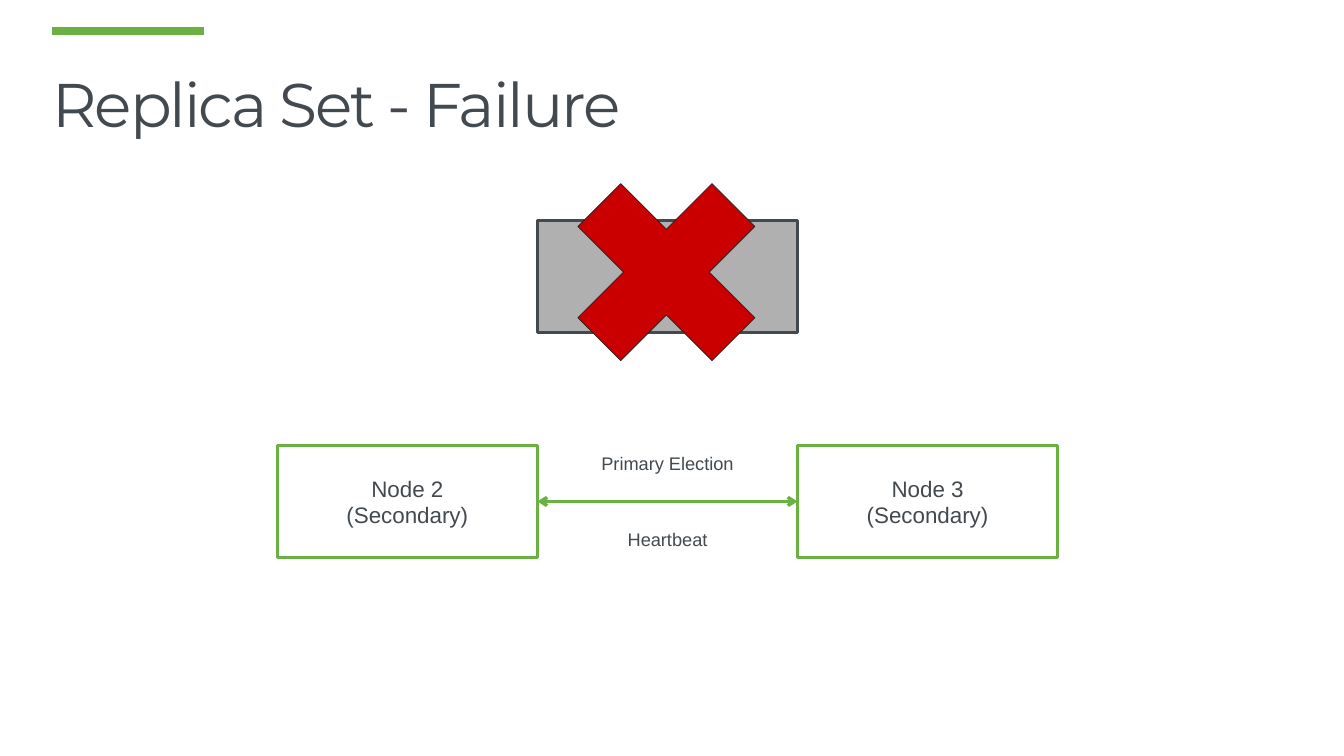
from lxml import etree
from pptx import Presentation
from pptx.dml.color import RGBColor
from pptx.enum.shapes import MSO_CONNECTOR, MSO_SHAPE
from pptx.enum.text import MSO_ANCHOR, MSO_AUTO_SIZE, PP_ALIGN
from pptx.oxml.ns import qn
from pptx.util import Inches, Pt

RECT, CROSS = MSO_SHAPE.RECTANGLE, MSO_SHAPE.MATH_MULTIPLY
STRAIGHT = MSO_CONNECTOR.STRAIGHT
LEFT, CENTER = PP_ALIGN.LEFT, PP_ALIGN.CENTER
MIDDLE, BOTTOM = MSO_ANCHOR.MIDDLE, MSO_ANCHOR.BOTTOM
FIT = MSO_AUTO_SIZE.SHAPE_TO_FIT_TEXT

# Content
TITLE = "Replica Set - Failure"
NODES = [["Node 2", "(Secondary)"], ["Node 3", "(Secondary)"]]
LABELS = [("Heartbeat", 5.17, 1.09), ("Primary Election", 4.42, 1.63)]

GREEN, DARK, WHITE = "69B241", "42494F", "FFFFFF"
GRAY, RED, BLACK = "B0B0B0", "CA0000", "212121"

# Layout: three columns of equal width, nodes in the outer two
BOX_W, BOX_H = 2.58, 1.11
COLS = [2.75 + i * BOX_W for i in range(3)]
TOP_Y, NODE_Y = 2.19, 4.42
MID_X, MID_Y = COLS[1] + BOX_W / 2, NODE_Y + BOX_H / 2
CROSS_W = 2.56


def color(code):
    return RGBColor.from_string(code)


def write(shape, lines, size=16, font="Arial", align=CENTER, anchor=MIDDLE,
          pad=(0.13, 0.13), wrap=True):
    frame = shape.text_frame
    frame.text = "\n".join(lines)
    frame.word_wrap = wrap
    frame.vertical_anchor = anchor
    frame.margin_left = frame.margin_right = Inches(pad[0])
    frame.margin_top = frame.margin_bottom = Inches(pad[1])
    for para in frame.paragraphs:
        para.alignment = align
        for run in para.runs:
            run.font.size, run.font.name = Pt(size), font
            run.font.color.rgb = color(DARK)
    return frame


def add_box(slide, kind, x, y, w, h, fill, line, width=2.25):
    box = slide.shapes.add_shape(kind, Inches(x), Inches(y), Inches(w), Inches(h))
    box.shadow.inherit = False
    box.fill.solid()
    box.fill.fore_color.rgb = color(fill)
    box.line.color.rgb = color(line)
    box.line.width = Pt(width)
    return box


def add_line(slide, x1, x2, y, width, heads=()):
    line = slide.shapes.add_connector(
        STRAIGHT, Inches(x1), Inches(y), Inches(x2), Inches(y))
    line.line.color.rgb = color(GREEN)
    line.line.width = Pt(width)
    stroke = line.line._get_or_add_ln()
    for end in heads:
        etree.SubElement(stroke, qn(end), type="arrow")
    etree.SubElement(line._element.spPr, qn("a:effectLst"))


def main():
    deck = Presentation()
    deck.slide_width, deck.slide_height = Inches(13.33), Inches(7.5)
    slide = deck.slides.add_slide(deck.slide_layouts[5])

    # Accent bar and title
    add_line(slide, 0.52, 2.02, 0.31, 6)
    title = slide.shapes.title
    title.left, title.top = Inches(0.42), Inches(0)
    title.width, title.height = Inches(11.5), Inches(1.45)
    head = write(title, [TITLE], size=44, font="Montserrat", align=LEFT,
                 anchor=BOTTOM, pad=(0.1, 0.05)).paragraphs[0]
    head.line_spacing = 0.9
    head.runs[0].font._element.set("spc", "-150")

    # Secondary nodes and the link between them
    for x, lines in zip(COLS[::2], NODES):
        write(add_box(slide, RECT, x, NODE_Y, BOX_W, BOX_H, WHITE, GREEN), lines)
    add_line(slide, COLS[1], COLS[2], MID_Y, 2.25, ("a:headEnd", "a:tailEnd"))

    # Link labels
    for text, y, w in LABELS:
        label = slide.shapes.add_textbox(
            Inches(MID_X - w / 2), Inches(y), Inches(w), Inches(0.36))
        frame = write(label, [text], size=13, pad=(0.13, 0.07), wrap=False)
        frame.auto_size = FIT

    # Failed primary, crossed out
    add_box(slide, RECT, COLS[1], TOP_Y, BOX_W, BOX_H, GRAY, DARK)
    add_box(slide, CROSS, COLS[1], 1.42, CROSS_W, CROSS_W, RED, BLACK, 0.5)

    deck.save("out.pptx")


if __name__ == "__main__":
    main()
